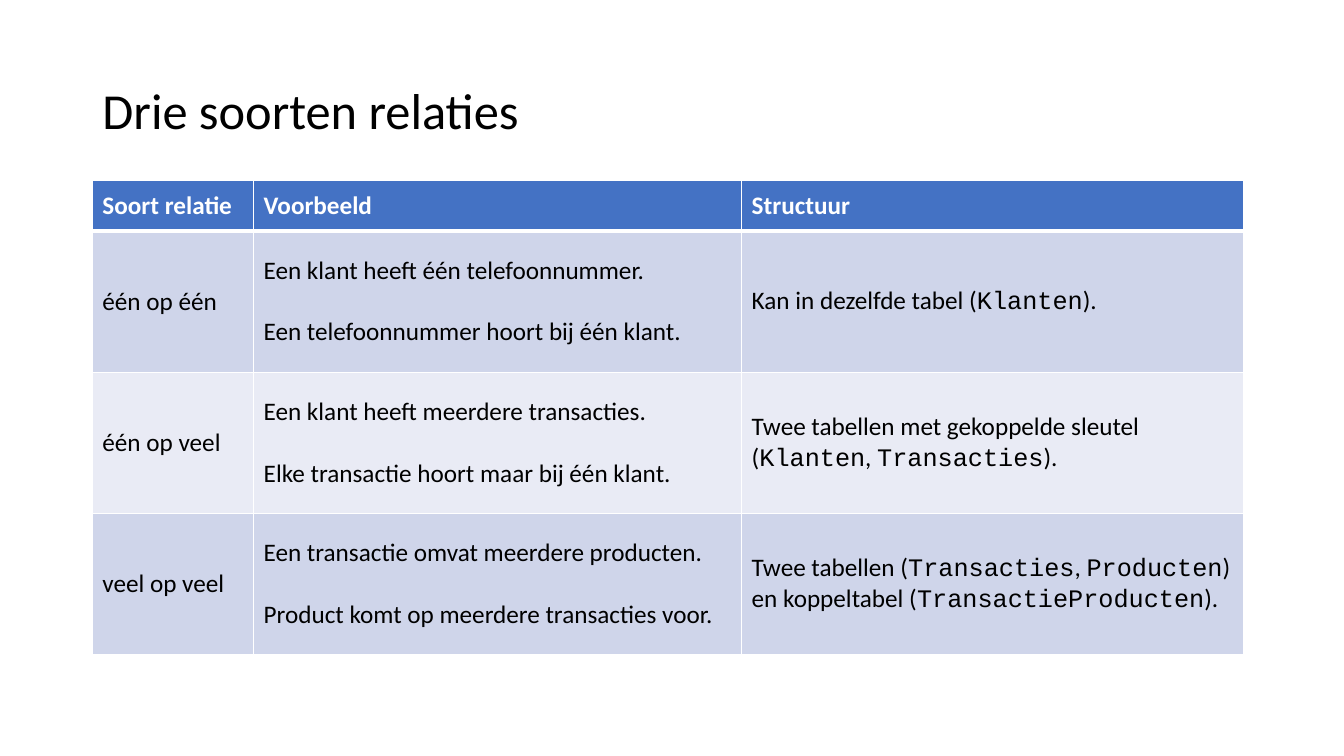
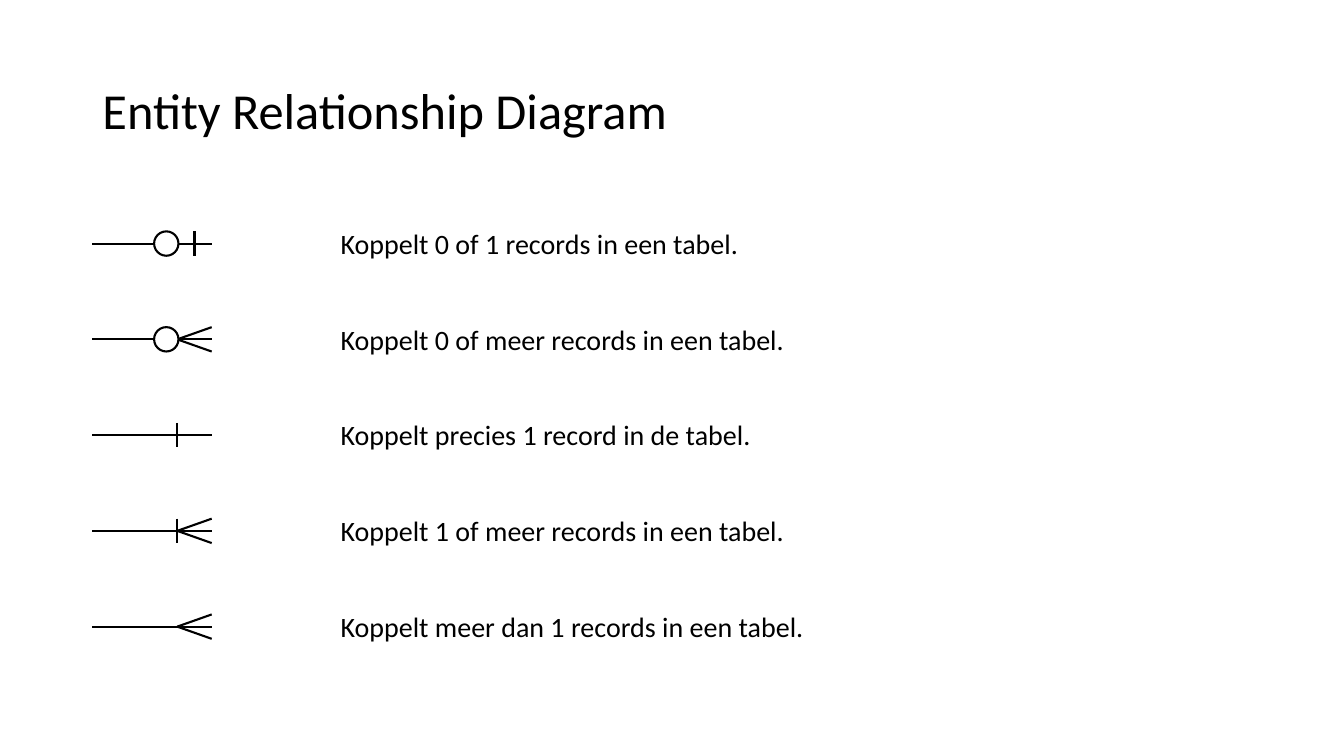
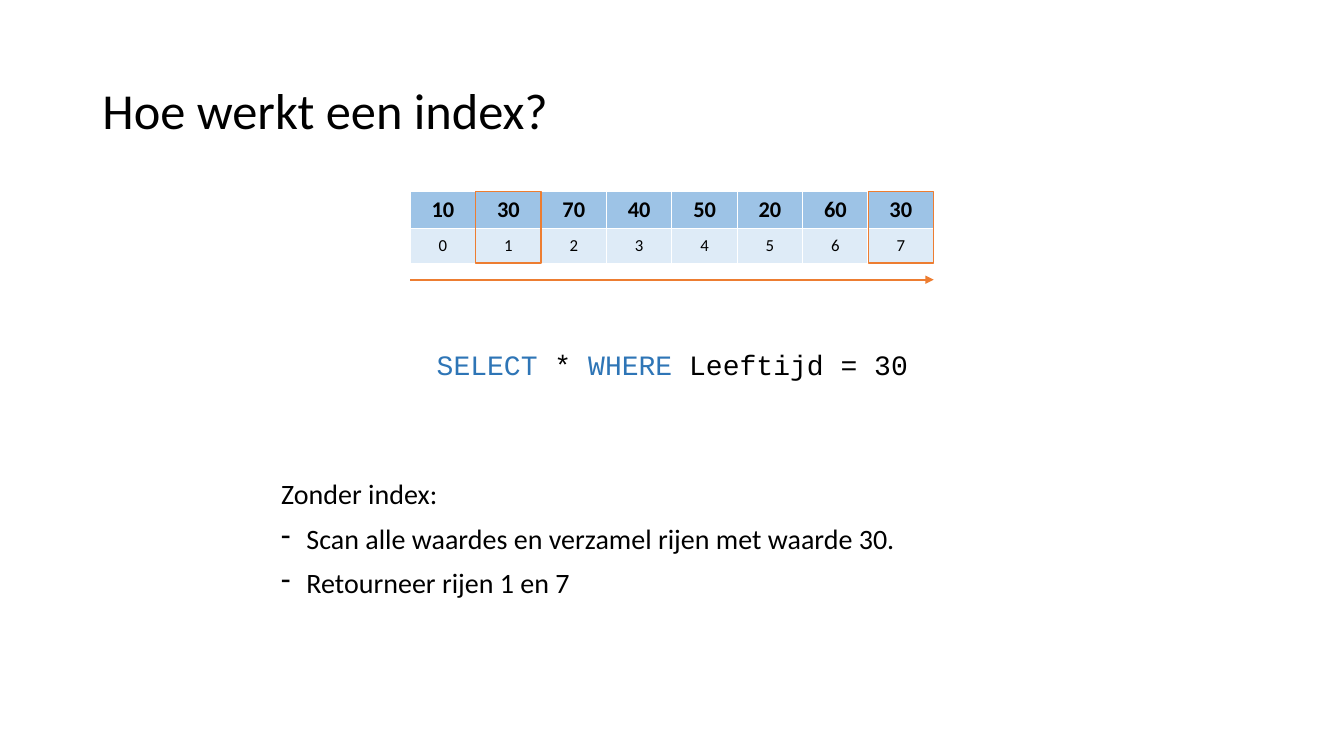
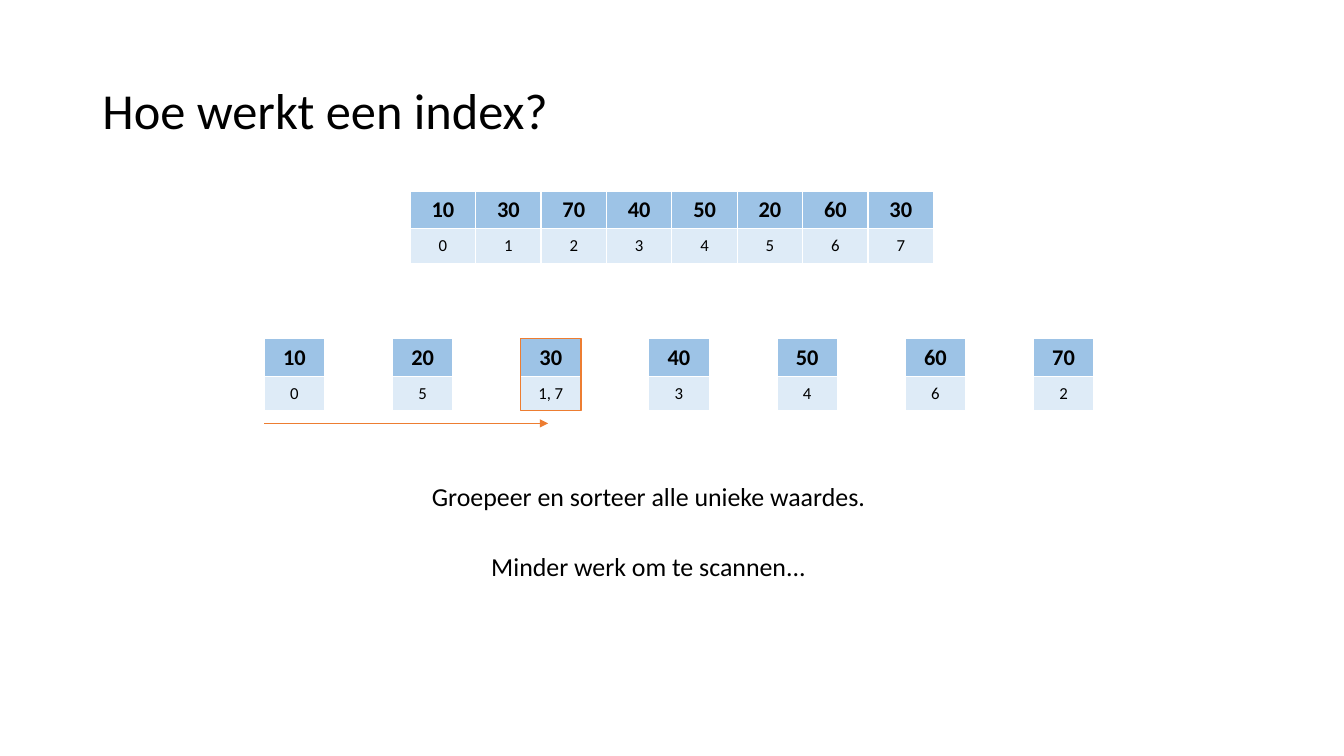
import dataclasses
import typing

import lxml.etree
import pptx
import pptx.dml.color
import pptx.enum.shapes
import pptx.enum.text
import pptx.oxml.ns
import pptx.presentation
import pptx.slide
import pptx.table
import pptx.text.text
import pptx.util

WIDE, HIGH = 12192000, 6858000
COLS, ROWS = 160, 90
SANS, MONO = "Calibri", "Courier New"
BLACK, WHITE, BLUE, ORANGE = "000000", "FFFFFF", "2E75B6", "ED7D31"
HEAD, BANDS = "4472C4", ("CFD5EA", "E9EBF5")
KEY, PLACE = "9DC3E6", "DEEBF7"
LEFT = pptx.enum.text.PP_ALIGN.LEFT
MID = pptx.enum.text.PP_ALIGN.CENTER


@dataclasses.dataclass(frozen=True)
class Look:
    size: float
    color: str = BLACK
    font: str = SANS
    bold: bool = False


@dataclasses.dataclass(frozen=True)
class Line:
    text: str
    look: Look
    code: Look
    gap: float = 0
    space: float = 1
    align: pptx.enum.text.PP_ALIGN = LEFT
    dash: bool = False


@dataclasses.dataclass(frozen=True)
class Cell:
    fill: str
    lines: typing.Sequence[Line]
    base: float = 1


@dataclasses.dataclass(frozen=True)
class Box:
    x: float
    y: float
    w: float
    h: float


@dataclasses.dataclass(frozen=True)
class Link:
    label: str
    ring: bool = False
    bar: bool = False
    fork: bool = False


TITLE = Look(36)
BODY = Look(18)
CODE = Look(18, font=MONO)
TOP = Look(18, WHITE, bold=True)
LARGE = Look(20)
QUERY = Look(20, font=MONO)
WORD = Look(20, BLUE, MONO)
NOTE = Look(18.5)
VALUE = Look(16, bold=True)
SPOT = Look(12)

KINDS = (
    ("één op één",
     "Een klant heeft één telefoonnummer.\nEen telefoonnummer hoort bij één klant.",
     "Kan in dezelfde tabel (`Klanten`)."),
    ("één op veel",
     "Een klant heeft meerdere transacties.\nElke transactie hoort maar bij één klant.",
     "Twee tabellen met gekoppelde sleutel (`Klanten`, `Transacties`)."),
    ("veel op veel",
     "Een transactie omvat meerdere producten.\nProduct komt op meerdere transacties voor.",
     "Twee tabellen (`Transacties`, `Producten`) en koppeltabel (`TransactieProducten`)."),
)
LINKS = (
    Link("Koppelt 0 of 1 records in een tabel.", ring=True, bar=True),
    Link("Koppelt 0 of meer records in een tabel.", ring=True, fork=True),
    Link("Koppelt precies 1 record in de tabel.", bar=True),
    Link("Koppelt 1 of meer records in een tabel.", bar=True, fork=True),
    Link("Koppelt meer dan 1 records in een tabel.", fork=True),
)
AGES = (10, 30, 70, 40, 50, 20, 60, 30)
LIST = Box(48.84, 22.77, 7.79, 8.56)
GROUP = Box(31.45, 40.32, 7.2, 8.56)
STEP = 15.26
SPLIT = (4.46, 4.1)


def ink(code: str) -> pptx.dml.color.RGBColor:
    return pptx.dml.color.RGBColor.from_string(code)


def col(n: float) -> pptx.util.Emu:
    return pptx.util.Emu(round(n * WIDE / COLS))


def row(n: float) -> pptx.util.Emu:
    return pptx.util.Emu(round(n * HIGH / ROWS))


def place(box: Box) -> tuple:
    return col(box.x), row(box.y), col(box.w), row(box.h)


def node(root, tag: str, **keys: str):
    return lxml.etree.SubElement(root, pptx.oxml.ns.qn(tag), keys)


def style(run, look: Look) -> None:
    run.font.size = pptx.util.Pt(look.size)
    run.font.name = look.font
    run.font.bold = look.bold
    run.font.color.rgb = ink(look.color)


def write(frame: pptx.text.text.TextFrame, lines: typing.Sequence[Line]) -> None:
    for n, line in enumerate(lines):
        para = frame.paragraphs[0] if n == 0 else frame.add_paragraph()
        para.alignment = line.align
        para.line_spacing = line.space
        para.space_before = pptx.util.Pt(line.gap)
        for k, part in enumerate(line.text.split("`")):
            if part:
                run = para.add_run()
                run.text = part
                style(run, line.code if k % 2 else line.look)
        if line.dash:
            props = para._p.get_or_add_pPr()
            inset = pptx.util.Inches(0.25)
            props.set("marL", str(inset))
            props.set("indent", str(-inset))
            node(props, "a:buChar", char="-")


def start(deck: pptx.presentation.Presentation, text: str) -> pptx.slide.Slide:
    slide = deck.slides.add_slide(deck.slide_layouts[5])
    title = slide.shapes.title
    title.left, title.top, title.width, title.height = place(Box(11, 4.8, 138, 17.4))
    frame = title.text_frame
    frame.text = text
    frame.auto_size = pptx.enum.text.MSO_AUTO_SIZE.NONE
    frame.vertical_anchor = pptx.enum.text.MSO_ANCHOR.MIDDLE
    para = frame.paragraphs[0]
    para.alignment = LEFT
    para.line_spacing = 0.9
    style(para.runs[0], TITLE)
    return slide


def prose(slide: pptx.slide.Slide, box: Box, lines: typing.Sequence[Line]) -> None:
    frame = slide.shapes.add_textbox(*place(box)).text_frame
    frame.word_wrap = True
    write(frame, lines)


def edge(cell: pptx.table._Cell, base: float) -> None:
    props = cell._tc.get_or_add_tcPr()
    for side, width in (("L", 1), ("R", 1), ("T", 1), ("B", base)):
        rule = node(props, f"a:ln{side}", w=str(pptx.util.Pt(width)))
        node(node(rule, "a:solidFill"), "a:srgbClr", val=WHITE)


def grid(slide: pptx.slide.Slide, x: float, y: float, wides: typing.Sequence[float],
         highs: typing.Sequence[float], cells: typing.Sequence[typing.Sequence[Cell]]) -> None:
    box = Box(x, y, sum(wides), sum(highs))
    table = slide.shapes.add_table(len(highs), len(wides), *place(box)).table
    table.first_row = table.horz_banding = False
    for part, wide in zip(table.columns, wides):
        part.width = col(wide)
    for part, high in zip(table.rows, highs):
        part.height = row(high)
    for r, band in enumerate(cells):
        for c, item in enumerate(band):
            cell = table.cell(r, c)
            cell.vertical_anchor = pptx.enum.text.MSO_ANCHOR.MIDDLE
            edge(cell, item.base)
            cell.fill.solid()
            cell.fill.fore_color.rgb = ink(item.fill)
            write(cell.text_frame, item.lines)


def stroke(slide: pptx.slide.Slide, x: float, y: float, to_x: float, to_y: float,
           color: str = BLACK, width: float = 1.5, arrow: bool = False) -> None:
    line = slide.shapes.add_connector(
        pptx.enum.shapes.MSO_CONNECTOR.STRAIGHT, col(x), row(y), col(to_x), row(to_y))
    line.line.width = pptx.util.Pt(width)
    line.line.color.rgb = ink(color)
    props = line._element.spPr
    if arrow:
        node(props.find(pptx.oxml.ns.qn("a:ln")), "a:tailEnd", type="triangle")
    node(props, "a:effectLst")


def shape(slide: pptx.slide.Slide, kind: pptx.enum.shapes.MSO_SHAPE, box: Box,
          color: str, width: float, fill: typing.Optional[str] = None) -> None:
    item = slide.shapes.add_shape(kind, *place(box))
    item.shadow.inherit = False
    if fill:
        item.fill.solid()
        item.fill.fore_color.rgb = ink(fill)
    else:
        item.fill.background()
    item.line.color.rgb = ink(color)
    item.line.width = pptx.util.Pt(width)


def frame_in(slide: pptx.slide.Slide, box: Box, x: float) -> None:
    shape(slide, pptx.enum.shapes.MSO_SHAPE.RECTANGLE,
          dataclasses.replace(box, x=x), ORANGE, 1)


def pairs(slide: pptx.slide.Slide, box: Box, keys: typing.Sequence, spots: typing.Sequence) -> None:
    cells = [[Cell(fill, [Line(str(text), look, look, align=MID)]) for text in texts]
             for fill, look, texts in ((KEY, VALUE, keys), (PLACE, SPOT, spots))]
    grid(slide, box.x, box.y, [box.w] * len(keys), SPLIT, cells)


def kinds(deck: pptx.presentation.Presentation) -> None:
    slide = start(deck, "Drie soorten relaties")
    heads = ("Soort relatie", "Voorbeeld", "Structuur")
    cells = [[Cell(HEAD, [Line(text, TOP, TOP)], base=3) for text in heads]]
    for n, texts in enumerate(KINDS):
        cells.append([
            Cell(BANDS[n % 2], [Line(part, BODY, CODE, gap=22 if k else 0)
                                for k, part in enumerate(text.split("\n"))])
            for text in texts])
    grid(slide, 11, 21.5, (19.2, 58.1, 59.8), (6, 16.8, 16.8, 16.8), cells)


def signs(deck: pptx.presentation.Presentation) -> None:
    slide = start(deck, "Entity Relationship Diagram")
    near, joint, far = 11, 21.1, 25.2
    size, half, pitch = 2.9, 1.45, 11.4
    for n, link in enumerate(LINKS):
        y = 29 + n * pitch
        stroke(slide, near, y, far, y)
        if link.bar:
            x = joint + 2.05 if link.ring else joint
            stroke(slide, x, y - half, x, y + half)
        if link.fork:
            for tip in (y - half, y + half):
                stroke(slide, joint, y, far, tip)
        if link.ring:
            shape(slide, pptx.enum.shapes.MSO_SHAPE.OVAL,
                  Box(joint - size + 0.15, y - half, size, size), BLACK, 1.5, WHITE)
        prose(slide, Box(39.36, y - 2.65, 62, 5.3), [Line(link.label, LARGE, QUERY)])


def scan(deck: pptx.presentation.Presentation) -> None:
    slide = start(deck, "Hoe werkt een index?")
    pairs(slide, LIST, AGES, range(len(AGES)))
    prose(slide, Box(32.3, 41.2, 95.5, 39.5), [
        Line("`SELECT` * `WHERE` Leeftijd = 30", QUERY, WORD, 10, 0.9, MID),
        Line("Zonder index:", LARGE, QUERY, 71, 0.9),
        Line("Scan alle waardes en verzamel rijen met waarde 30.", LARGE, QUERY, 10, 0.9, dash=True),
        Line("Retourneer rijen 1 en 7", LARGE, QUERY, 10, 0.9, dash=True),
    ])
    stroke(slide, LIST.x, 33.3, LIST.x + len(AGES) * LIST.w, 33.3, ORANGE, arrow=True)
    for n, age in enumerate(AGES):
        if age == 30:
            frame_in(slide, LIST, LIST.x + n * LIST.w)


def sort(deck: pptx.presentation.Presentation) -> None:
    slide = start(deck, "Hoe werkt een index?")
    pairs(slide, LIST, AGES, range(len(AGES)))
    for n, age in enumerate(sorted(set(AGES))):
        x = GROUP.x + n * STEP
        spots = ", ".join(str(k) for k, item in enumerate(AGES) if item == age)
        pairs(slide, dataclasses.replace(GROUP, x=x), [age], [spots])
        if age == 30:
            frame_in(slide, GROUP, x)
    prose(slide, Box(27, 57.6, 100.4, 13.4), [
        Line("Groepeer en sorteer alle unieke waardes.", NOTE, NOTE, 10, 0.7, MID),
        Line("Minder werk om te scannen...", NOTE, NOTE, 35, 0.7, MID),
    ])
    stroke(slide, GROUP.x, 50.4, 65.25, 50.4, ORANGE, 1, arrow=True)


def main() -> None:
    deck = pptx.Presentation()
    deck.slide_width, deck.slide_height = WIDE, HIGH
    for build in (kinds, signs, scan, sort):
        build(deck)
    deck.save("out.pptx")


if __name__ == "__main__":
    main()
